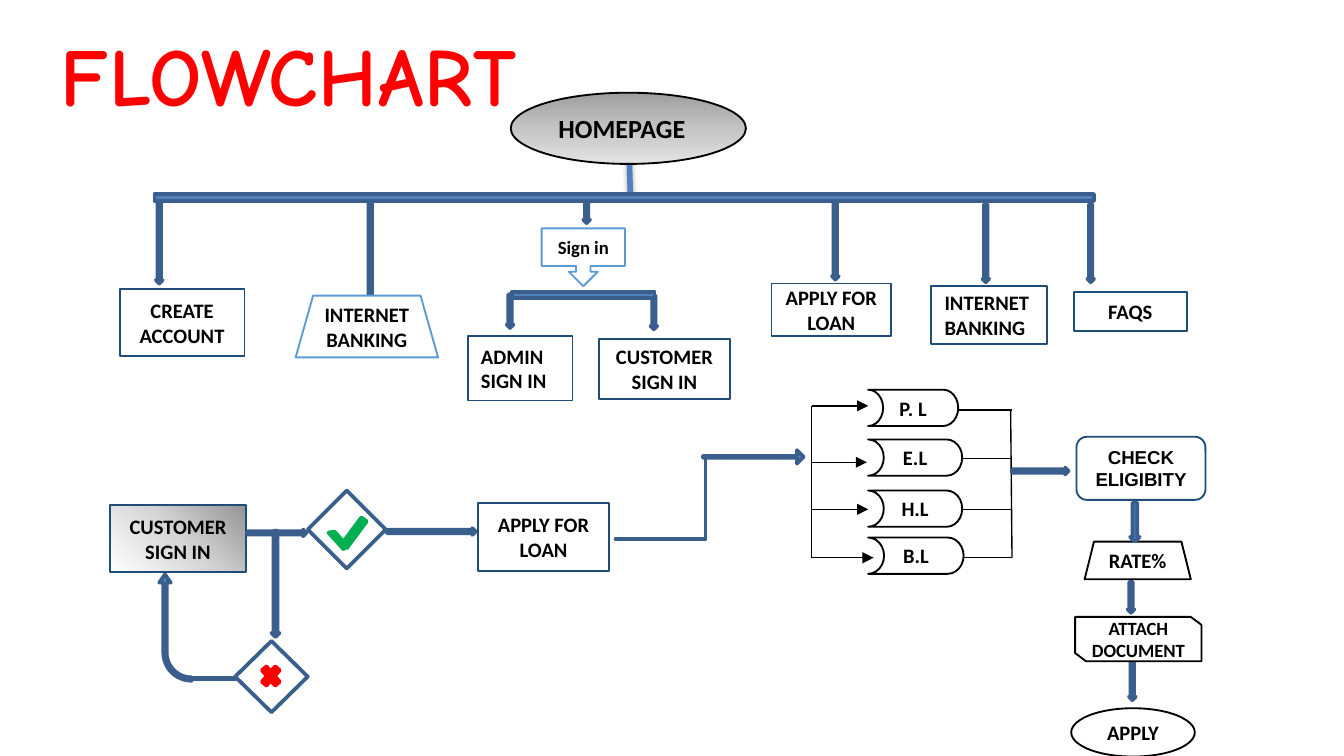
from lxml import etree
from pptx import Presentation
from pptx.dml.color import RGBColor
from pptx.enum.shapes import MSO_CONNECTOR as Link, MSO_SHAPE as Kind
from pptx.enum.text import MSO_ANCHOR as Anchor, PP_ALIGN as Align
from pptx.oxml.ns import qn
from pptx.util import Inches, Pt

BLUE, EDGE, NAVY, SKY = "4F81BD", "3A5F8C", "1F4D78", "5B9BD5"
BLACK, WHITE, GREEN, RED = "000000", "FFFFFF", "00B050", "FF0000"


def color(code):
    return RGBColor.from_string(code)


def paint(shape, fill, edge, width):
    shape.shadow.inherit = False
    if fill:
        shape.fill.solid()
        shape.fill.fore_color.rgb = color(fill)
    else:
        shape.fill.background()
    shape.line.color.rgb = color(edge)
    shape.line.width = Pt(width)


def shade(shape, codes, angle):
    """Fill with evenly spaced gradient colours; the angle is clockwise."""
    shape.fill.gradient()
    shape.fill.gradient_angle = 360 - angle
    stops = next(shape._element.spPr.iter(qn("a:gsLst")))
    stops.clear()
    for i, code in enumerate(codes):
        stop = etree.SubElement(stops, qn("a:gs"), pos=str(100000 * i // (len(codes) - 1)))
        etree.SubElement(stop, qn("a:srgbClr"), val=code)


def write(shape, text, size=11, font="Calibri", align=Align.CENTER, tint=BLACK):
    frame = shape.text_frame
    frame.word_wrap = True
    frame.vertical_anchor = Anchor.MIDDLE
    para = frame.paragraphs[0]
    para.alignment = align
    run = para.add_run()
    run.text = text
    run.font.size = Pt(size)
    run.font.name = font
    run.font.bold = True
    run.font.color.rgb = color(tint)
    return run


def draw(slide, kind, box, fill=BLUE, edge=EDGE, width=2, adj=(), turn=0, flip=False):
    shape = slide.shapes.add_shape(kind, *map(Inches, box))
    paint(shape, fill, edge, width)
    for i, value in enumerate(adj):
        shape.adjustments[i] = value
    shape.rotation = turn
    if flip:
        shape._element.spPr.find(qn("a:xfrm")).set("flipH", "1")
    return shape


def node(slide, kind, box, text, edge=NAVY, size=11, font="Calibri",
         align=Align.CENTER, **look):
    shape = draw(slide, kind, box, WHITE, edge, 1, **look)
    write(shape, text, size, font, align)
    return shape


def outline(slide, points, text, edge, size=11):
    spots = [(Inches(x), Inches(y)) for x, y in points]
    path = slide.shapes.build_freeform(*spots[0])
    path.add_line_segments(spots[1:], close=True)
    shape = path.convert_to_shape()
    paint(shape, WHITE, edge, 1)
    write(shape, text, size)


def line(slide, x1, y1, x2, y2, tint=BLACK, width=0.75, head=False, glow=False):
    link = slide.shapes.add_connector(Link.STRAIGHT, *map(Inches, (x1, y1, x2, y2)))
    link.line.color.rgb = color(tint)
    link.line.width = Pt(width)
    if head:
        etree.SubElement(link.line._get_or_add_ln(), qn("a:tailEnd"), type="triangle")
    effect = etree.SubElement(link._element.spPr, qn("a:effectLst"))
    if glow:
        drop = etree.SubElement(effect, qn("a:outerShdw"), blurRad=str(Pt(3.1)),
                                dist=str(Pt(1.8)), dir="5400000", rotWithShape="0")
        tone = etree.SubElement(drop, qn("a:srgbClr"), val=BLACK)
        etree.SubElement(tone, qn("a:alpha"), val="35000")


def title(slide):
    head = slide.shapes.title
    head.left, head.top, head.width, head.height = map(Inches, (0.03, 0.13, 4.24, 0.84))
    run = write(head, "FLOWCHART", 44, "Comic Neue", tint=RED)
    run._r.get_or_add_rPr().set("spc", "50")
    head.text_frame.word_wrap = False
    head.text_frame.vertical_anchor = Anchor.TOP


def menu(slide):
    """Home page and the branches below it."""
    line(slide, 4.68, 1.09, 4.69, 1.44, BLUE, 3, glow=True)
    home = node(slide, Kind.OVAL, (3.8, 0.69, 1.75, 0.53), "HOMEPAGE", BLACK, 14,
                align=Align.LEFT)
    shade(home, ("9E9E9E", "C4C4C4", "E3E3E3"), 90)
    for x, y, high in ((1.16, 1.51, 0.6), (2.73, 1.51, 1), (4.34, 1.49, 0.17),
                       (6.19, 1.49, 0.59), (7.31, 1.52, 0.58), (8.09, 1.52, 0.58),
                       (3.77, 2.19, 0.25), (4.84, 2.2, 0.25)):
        draw(slide, Kind.DOWN_ARROW, (x, y, 0.05, high))
    draw(slide, Kind.MATH_MINUS, (-0.11, 1.36, 9.51, 0.22))
    draw(slide, Kind.RECTANGLE, (3.81, 2.17, 1.06, 0.05))
    for box, text, align in (
            ((0.89, 2.15, 0.93, 0.5), "CREATE ACCOUNT", Align.CENTER),
            ((3.48, 2.5, 0.78, 0.48), "ADMIN SIGN IN", Align.LEFT),
            ((4.46, 2.52, 0.97, 0.45), "CUSTOMER SIGN IN", Align.CENTER),
            ((5.74, 2.11, 0.89, 0.39), "APPLY FOR LOAN", Align.CENTER),
            ((6.93, 2.13, 0.86, 0.43), "INTERNET BANKING", Align.LEFT),
            ((7.99, 2.17, 0.84, 0.29), "FAQS", Align.CENTER)):
        node(slide, Kind.RECTANGLE, box, text, align=align)
    outline(slide, ((2.2, 2.66), (2.33, 2.2), (3.13, 2.2), (3.26, 2.66)),
            "INTERNET BANKING", SKY)
    node(slide, Kind.DOWN_ARROW_CALLOUT, (4.03, 1.7, 0.62, 0.43), "Sign in", SKY, 10,
         adj=(0.25, 0.25, 0.25, 0.65))


def login(slide):
    """Customer sign-in with its accepted and rejected paths."""
    user = node(slide, Kind.RECTANGLE, (0.82, 3.76, 1.01, 0.5), "CUSTOMER SIGN IN")
    shade(user, ("959595", "D6D6D6", "FFFFFF"), 135)
    draw(slide, Kind.RIGHT_ARROW, (1.84, 3.94, 0.44, 0.05))
    draw(slide, Kind.DIAMOND, (2.29, 3.65, 0.58, 0.58), None)
    draw(slide, Kind.RECTANGLE, (2.61, 3.84, 0.05, 0.25), GREEN, GREEN, turn=36.5, flip=True)
    draw(slide, Kind.DIAGONAL_STRIPE, (2.43, 3.98, 0.14, 0.09), GREEN, GREEN, turn=80.8)
    draw(slide, Kind.RIGHT_ARROW, (2.88, 3.93, 0.66, 0.05))
    draw(slide, Kind.DOWN_ARROW, (2.02, 3.95, 0.06, 0.79))
    draw(slide, Kind.DIAMOND, (1.75, 4.77, 0.54, 0.53), None)
    draw(slide, Kind.MATH_MULTIPLY, (1.92, 4.92, 0.19, 0.22), RED, RED)
    draw(slide, Kind.BENT_ARROW, (0.91, 4.55, 0.79, 0.24), turn=270,
         adj=(0.105, 0.178, 0.25, 0.875))
    draw(slide, Kind.MATH_MINUS, (1.36, 5.02, 0.45, 0.06))
    node(slide, Kind.RECTANGLE, (3.56, 3.74, 0.97, 0.51), "APPLY FOR LOAN")
    draw(slide, Kind.HALF_FRAME, (4.58, 3.4, 0.67, 0.61), adj=(0, 0), turn=180)
    draw(slide, Kind.RIGHT_ARROW, (5.23, 3.35, 0.75, 0.1), adj=(0.141, 0.5))


def loans(slide):
    """Loan types between two brackets."""
    line(slide, 6.04, 3.02, 6.04, 4.15)
    line(slide, 7.52, 3.06, 7.53, 4.15)
    for text, top, wide, enter, tip, leave in (
            ("P. L", 2.9, 0.67, 3.02, 6.46, 3.05), ("E.L", 3.27, 0.7, 3.44, 6.45, 3.41),
            ("H.L", 3.65, 0.7, 3.79, 6.46, 3.79), ("B.L", 4, 0.71, 4.15, 6.5, 4.15)):
        line(slide, 6.04, enter, tip, enter, head=True)
        line(slide, 6.46 + wide, leave, 7.53, leave)
        node(slide, Kind.FLOWCHART_STORED_DATA, (6.46, top, wide, 0.27), text, BLACK, flip=True)


def check(slide):
    """Steps from the eligibility check to the application."""
    draw(slide, Kind.RIGHT_ARROW, (7.53, 3.48, 0.42, 0.05), WHITE)
    node(slide, Kind.ROUNDED_RECTANGLE, (8.01, 3.25, 0.96, 0.47), "CHECK ELIGIBITY",
         size=10, font="Arial", adj=(0.167,))
    for box in ((8.39, 4.33, 0.05, 0.23), (8.4, 4.88, 0.05, 0.33)):
        draw(slide, Kind.DOWN_ARROW, box)
    outline(slide, ((8.07, 4.31), (8.14, 4.03), (8.79, 4.03), (8.86, 4.31)), "RATE%", BLACK)
    draw(slide, Kind.DOWN_ARROW, (8.41, 3.74, 0.07, 0.29), flip=True)
    outline(slide, ((8, 4.59), (8.86, 4.59), (8.94, 4.65), (8.94, 4.92), (8.08, 4.92),
                    (8, 4.86)), "ATTACH DOCUMENT", BLACK, 10)
    node(slide, Kind.OVAL, (7.97, 5.27, 0.92, 0.36), "APPLY", BLACK)


def main():
    deck = Presentation()
    deck.slide_width = Inches(10)
    deck.slide_height = deck.slide_width * 9 // 16
    slide = deck.slides.add_slide(deck.slide_layouts[5])
    for part in (title, menu, login, loans, check):
        part(slide)
    deck.save("out.pptx")


if __name__ == "__main__":
    main()
